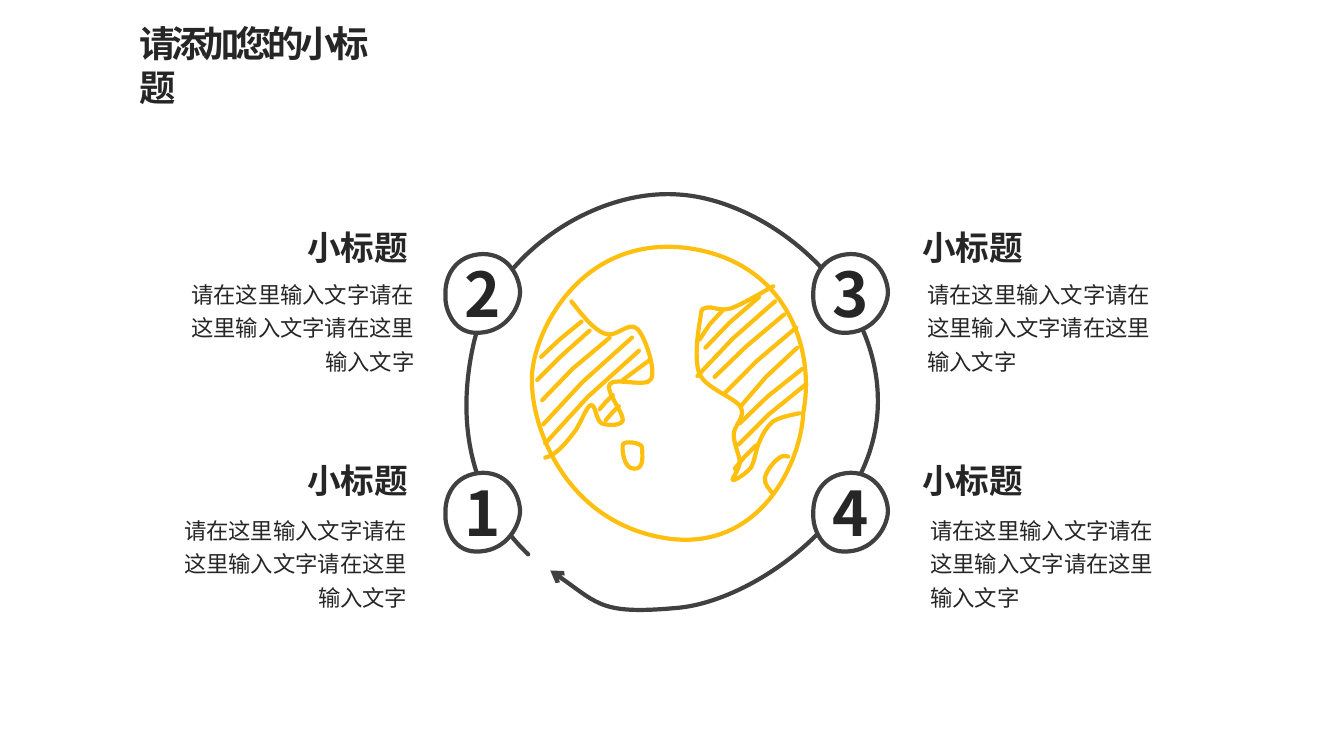
from pptx import Presentation
from pptx.dml.color import RGBColor
from pptx.enum.text import MSO_ANCHOR, PP_ALIGN
from pptx.oxml.ns import qn
from pptx.util import Cm, Pt
from lxml import etree

FONT = "Noto Sans CJK SC"
INK = RGBColor(0x26, 0x26, 0x26)
ORBIT_GREY = RGBColor(0x40, 0x40, 0x40)
YELLOW = RGBColor(0xFE, 0xBF, 0x0F)
WHITE = RGBColor(0xFF, 0xFF, 0xFF)
LEFT, RIGHT, CENTER = PP_ALIGN.LEFT, PP_ALIGN.RIGHT, PP_ALIGN.CENTER
TOP, MIDDLE = MSO_ANCHOR.TOP, MSO_ANCHOR.MIDDLE

GLOBE = [(5.28, 3.69), (5.33, 3.21), (5.81, 2.34), (6.81, 2.46), (7.81, 2.59),
         (8.09, 3.47), (7.97, 4.09), (7.95, 4.59), (7.53, 5.52), (6.55, 5.33),
         (5.57, 5.14), (5.24, 4.17), (5.28, 3.69)]
ISLAND = [(6.18, 4.41), (6.19, 4.37), (6.37, 4.39), (6.37, 4.44), (6.37, 4.49),
          (6.4, 4.66), (6.29, 4.65), (6.18, 4.65), (6.17, 4.44), (6.18, 4.41)]
WEST_COAST = [(5.67, 2.99), (5.78, 3.13), (5.89, 3.27), (6, 3.31), (6.11, 3.36),
              (6.24, 3.18), (6.32, 3.26), (6.4, 3.33), (6.51, 3.67), (6.46, 3.76),
              (6.42, 3.85), (6.1, 3.74), (6.05, 3.81), (6, 3.87), (6.19, 4.1),
              (6.18, 4.17), (6.16, 4.23), (6.02, 4.22), (5.97, 4.2), (5.91, 4.17),
              (5.91, 4), (5.86, 4.02), (5.81, 4.04), (5.76, 4.22), (5.68, 4.31),
              (5.61, 4.4), (5.51, 4.52), (5.41, 4.54)]
EAST_COAST = [(7.67, 2.84), (7.51, 2.93), (7.36, 3.02), (7.25, 3.06), (7.14, 3.09),
              (7.07, 3.04), (7.02, 3.05), (6.97, 3.07), (6.96, 3.04), (6.95, 3.15),
              (6.93, 3.26), (6.88, 3.56), (6.94, 3.71), (7.01, 3.86), (7.29, 3.94),
              (7.35, 4.04), (7.4, 4.14), (7.28, 4.22), (7.28, 4.31), (7.28, 4.41),
              (7.34, 4.52), (7.34, 4.59), (7.33, 4.67), (7.25, 4.76), (7.27, 4.76),
              (7.29, 4.77), (7.4, 4.7), (7.45, 4.64), (7.49, 4.57), (7.5, 4.45),
              (7.54, 4.37), (7.57, 4.3), (7.61, 4.23), (7.67, 4.18), (7.74, 4.14),
              (7.83, 4.12), (7.93, 4.1)]
SOUTH_COAST = [(7.82, 4.53), (7.78, 4.52), (7.75, 4.52), (7.71, 4.56), (7.67, 4.59),
               (7.6, 4.68), (7.59, 4.74), (7.58, 4.8), (7.63, 4.85), (7.67, 4.9)]
HATCHES = [
    [(7.34, 4.2), (7.62, 3.93), (7.96, 3.66)], [(6.92, 3.73), (7.27, 3.36), (7.69, 2.99)],
    [(5.37, 3.54), (5.55, 3.37), (5.77, 3.19)], [(7.35, 4.03), (7.6, 3.74), (7.91, 3.45)],
    [(5.41, 4.4), (5.83, 3.94), (6.34, 3.48)], [(7.19, 3.9), (7.51, 3.58), (7.9, 3.25)],
    [(7.09, 3.74), (7.4, 3.44), (7.78, 3.12)], [(7, 3.45), (7.24, 3.2), (7.53, 2.95)],
    [(6.18, 3.77), (6.3, 3.68), (6.45, 3.57)], [(5.38, 3.97), (5.68, 3.66), (6.05, 3.35)],
    [(7.33, 4.41), (7.63, 4.11), (8, 3.81)], [(7.29, 4.65), (7.38, 4.54), (7.5, 4.42)],
    [(6.94, 3.37), (7.04, 3.22), (7.17, 3.08)], [(5.33, 3.77), (5.57, 3.53), (5.85, 3.28)],
    [(5.39, 4.21), (5.78, 3.79), (6.27, 3.35)], [(5.95, 4.06), (6.01, 3.99), (6.08, 3.92)],
    [(6.01, 4.17), (6.07, 4.1), (6.14, 4.03)],
]
ORBIT = [(5.24, 5.5), (4.76, 5.04), (4.5, 4.35), (4.69, 3.45), (4.87, 2.55),
         (5.88, 1.87), (6.73, 1.93), (7.59, 1.98), (8.71, 2.85), (8.71, 3.98),
         (8.71, 5.11), (7.48, 5.96), (6.73, 6.03), (5.98, 6.1), (5.93, 5.98),
         (5.46, 5.66)]
BADGE = [(0.74, 0.38), (0.74, 0.25), (0.64, 0), (0.37, 0), (0.09, 0.01),
         (-0.01, 0.23), (0, 0.41), (-0.01, 0.54), (0.08, 0.81), (0.35, 0.78),
         (0.62, 0.76), (0.74, 0.51), (0.74, 0.38)]

BADGE_COLUMNS = (4.42, 8.07)
BADGE_ROWS = (2.52, 4.69)
HEADING_COLUMNS = (2.95, 9.05)
HEADING_ROWS = (2.2, 4.51)
NUMBERS = (("2", "3"), ("1", "4"))
BODY_LEFTS = ((1.59, 9.1), (1.52, 9.13))
BODY_ROWS = (2.67, 5.01)
BODY_TEXT = "请在这里输入文字" * 3


def inches(value):
    return Cm(value * 2.54)


def hatch_knots(anchors):
    knots = [anchors[0]]
    for (x0, y0), (x1, y1) in zip(anchors, anchors[1:]):
        knots += [(x0 + (x1 - x0) * third / 3, y0 + (y1 - y0) * third / 3)
                  for third in (1, 2, 3)]
    return knots


def bend_segments(outline, knots):
    segments = list(outline._element.iter(qn("a:lnTo")))
    for index, segment in enumerate(segments):
        curve = etree.Element(qn("a:cubicBezTo"))
        for x, y in knots[3 * index + 1:3 * index + 4]:
            point = etree.SubElement(curve, qn("a:pt"))
            point.set("x", str(x - outline.left))
            point.set("y", str(y - outline.top))
        segment.getparent().replace(segment, curve)


def draw_outline(shapes, points, color, fill=None):
    knots = [(inches(x), inches(y)) for x, y in points]
    builder = shapes.build_freeform(*knots[0])
    builder.add_line_segments(knots[3::3], close=knots[0] == knots[-1])
    outline = builder.convert_to_shape()
    bend_segments(outline, knots)
    outline.shadow.inherit = False
    if fill is None:
        outline.fill.background()
    else:
        outline.fill.solid()
        outline.fill.fore_color.rgb = fill
    outline.line.color.rgb = color
    outline.line.width = Pt(3)
    stroke = outline.line._get_or_add_ln()
    stroke.set("cap", "rnd")
    etree.SubElement(stroke, qn("a:round"))
    return outline


def write_text(frame, text, size, bold=False, align=LEFT, anchor=TOP, spacing=1.0, wrap=True):
    frame.text = text
    frame.word_wrap = wrap
    frame.vertical_anchor = anchor
    paragraph = frame.paragraphs[0]
    paragraph.alignment = align
    paragraph.line_spacing = spacing
    run = paragraph.runs[0]
    run.font.size = Pt(size)
    run.font.bold = bold
    run.font.name = FONT
    run.font.color.rgb = INK
    east_asian = etree.SubElement(run.font._element, qn("a:ea"))
    east_asian.set("typeface", FONT)
    return run


def add_text(slide, left, top, width, height, text, size, **style):
    box = slide.shapes.add_textbox(*map(inches, (left, top, width, height)))
    write_text(box.text_frame, text, size, **style)


def set_title(slide):
    title = slide.shapes.title
    title.left, title.top, title.width, title.height = map(inches, (1.28, 0.16, 2.8, 0.54))
    run = write_text(title.text_frame, "请添加您的小标题", 26, bold=True)
    run.font._element.set("spc", "-300")


def draw_globe(slide):
    globe = slide.shapes.add_group_shape()
    for knots in (GLOBE, WEST_COAST, ISLAND, EAST_COAST, SOUTH_COAST):
        draw_outline(globe.shapes, knots, YELLOW)
    for hatch in HATCHES:
        draw_outline(globe.shapes, hatch_knots(hatch), YELLOW)


def draw_orbit(slide):
    orbit = draw_outline(slide.shapes, ORBIT, ORBIT_GREY)
    arrowhead = etree.SubElement(orbit.line._get_or_add_ln(), qn("a:tailEnd"))
    arrowhead.set("type", "arrow")


def draw_badge(slide, left, top, number):
    knots = [(left + x, top + y) for x, y in BADGE]
    badge = draw_outline(slide.shapes, knots, ORBIT_GREY, WHITE)
    write_text(badge.text_frame, number, 44, bold=True, align=CENTER, anchor=MIDDLE)


def main():
    presentation = Presentation()
    presentation.slide_width = Cm(33.87)
    presentation.slide_height = Cm(19.05)
    slide = presentation.slides.add_slide(presentation.slide_layouts[5])
    set_title(slide)
    draw_globe(slide)
    draw_orbit(slide)
    for row in range(2):
        for column, align in enumerate((RIGHT, LEFT)):
            draw_badge(slide, BADGE_COLUMNS[column], BADGE_ROWS[row], NUMBERS[row][column])
            add_text(slide, HEADING_COLUMNS[column], HEADING_ROWS[row], 1.22, 0.5,
                     "小标题", 24, bold=True, wrap=False)
            add_text(slide, BODY_LEFTS[row][column], BODY_ROWS[row], 2.62, 1.11,
                     BODY_TEXT, 16, align=align, spacing=1.25)
    presentation.save("out.pptx")


if __name__ == "__main__":
    main()
